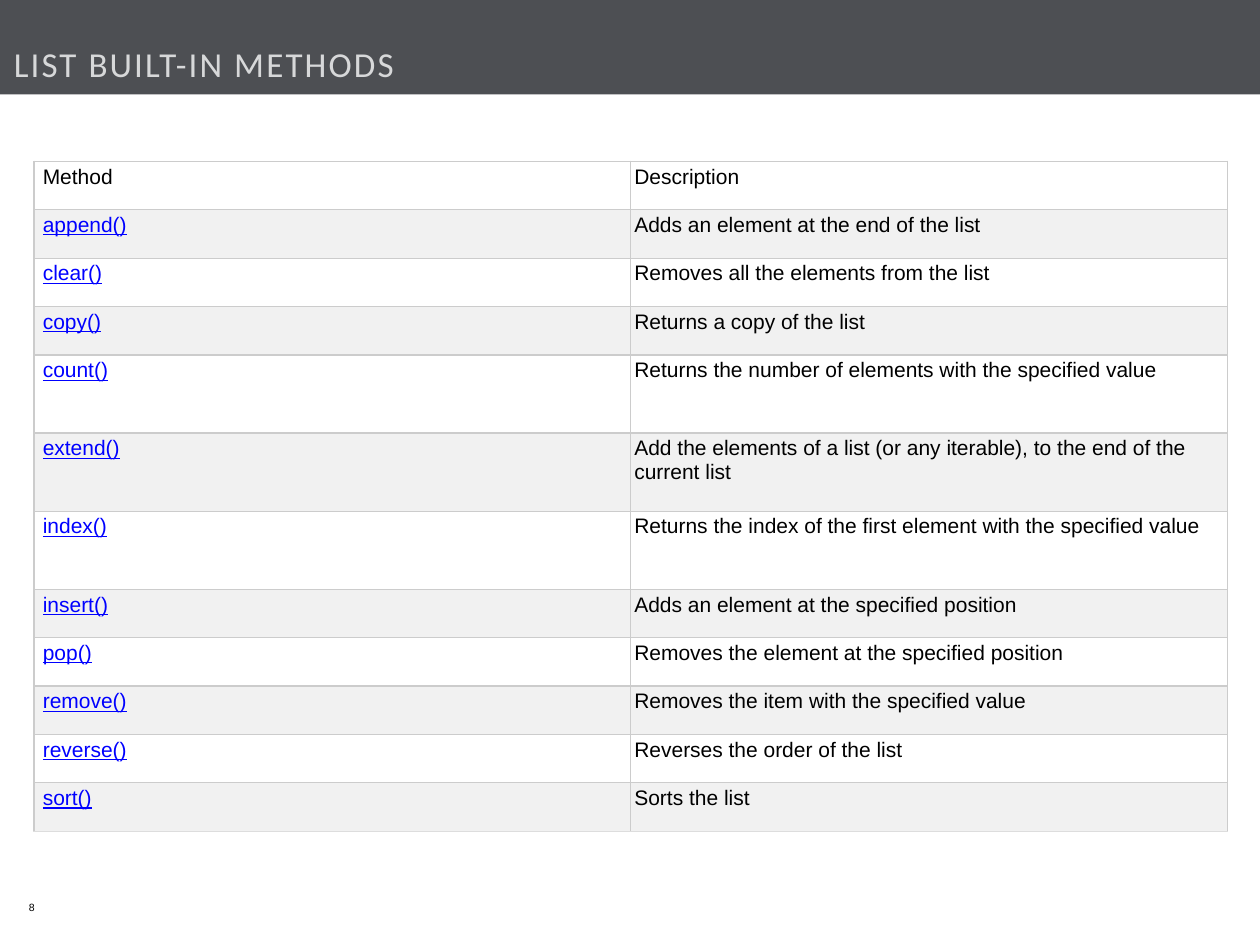
import pptx
import pptx.util
import pptx.dml.color
import pptx.enum.shapes
import pptx.enum.text
import pptx.oxml.ns
from lxml import etree

Inches = pptx.util.Inches
Pt = pptx.util.Pt
qn = pptx.oxml.ns.qn

COLORS = {
    "white": "FFFFFF", "band": "4D4F53", "title": "D7D8D9", "text": "000000",
    "link": "0000FF", "stripe": "F1F1F1", "line": "CCCCCC", "base": "DDDDDD",
}
METHODS = [
    ("append()", "Adds an element at the end of the list"),
    ("clear()", "Removes all the elements from the list"),
    ("copy()", "Returns a copy of the list"),
    ("count()", "Returns the number of elements with the specified value"),
    ("extend()", "Add the elements of a list (or any iterable), to the end of the current list"),
    ("index()", "Returns the index of the first element with the specified value"),
    ("insert()", "Adds an element at the specified position"),
    ("pop()", "Removes the element at the specified position"),
    ("remove()", "Removes the item with the specified value"),
    ("reverse()", "Reverses the order of the list"),
    ("sort()", "Sorts the list"),
]
TALL = {"count()", "extend()", "index()"}


def rgb(name):
    return pptx.dml.color.RGBColor.from_string(COLORS[name])


def pad(item, left, top, right, base):
    item.margin_left, item.margin_top = Inches(left), Inches(top)
    item.margin_right, item.margin_bottom = Inches(right), Inches(base)


def add_run(frame, text, size, color, font="Arial"):
    par = frame.paragraphs[0]
    par.alignment = pptx.enum.text.PP_ALIGN.LEFT
    run = par.add_run()
    run.text = text
    run.font.size, run.font.name = Pt(size), font
    run.font.color.rgb = rgb(color)
    return run


def add_band(slide, box, color):
    band = slide.shapes.add_shape(
        pptx.enum.shapes.MSO_SHAPE.RECTANGLE, *map(Inches, box))
    band.shadow.inherit = False
    band.fill.solid()
    band.fill.fore_color.rgb = rgb(color)
    band.line.fill.background()
    # Send behind the title
    slide.shapes._spTree.insert(2, band._element)


def add_title(slide, box, text):
    title = slide.shapes.title
    title.left, title.top, title.width, title.height = map(Inches, box)
    frame = title.text_frame
    pad(frame, 0, 0, 0, 0)
    frame.word_wrap = True
    frame.auto_size = pptx.enum.text.MSO_AUTO_SIZE.NONE
    frame.vertical_anchor = pptx.enum.text.MSO_ANCHOR.BOTTOM
    run = add_run(frame, text, 20, "title", "Calibri")
    run.font._element.set("spc", "120")


def add_number(slide, box, text):
    frame = slide.shapes.add_textbox(*map(Inches, box)).text_frame
    pad(frame, 0.12, 0.06, 0.12, 0.06)
    frame.word_wrap = True
    frame.vertical_anchor = pptx.enum.text.MSO_ANCHOR.MIDDLE
    add_run(frame, text, 6, "text")


def add_border(cell, base):
    props = cell._tc.get_or_add_tcPr()
    for side in "LRTB":
        line = etree.SubElement(props, qn(f"a:ln{side}"), w=str(Pt(0.75)))
        fill = etree.SubElement(line, qn("a:solidFill"))
        color = COLORS[base if side == "B" else "line"]
        etree.SubElement(fill, qn("a:srgbClr"), val=color)


def add_methods(slide, box, head, methods):
    left, top, width, height = box
    rows = [head] + methods
    table = slide.shapes.add_table(len(rows), 2, *map(Inches, box)).table
    for col in table.columns:
        col.width = Inches(width / 2)
    # Short rows share what the tall ones leave
    tall = 0.62
    short = (height - tall * len(TALL)) / (len(rows) - len(TALL))
    for i, row in enumerate(rows):
        table.rows[i].height = Inches(tall if row[0] in TALL else short)
        for j, text in enumerate(row):
            cell = table.cell(i, j)
            pad(cell, 0.03 if j else 0.07, 0.03, 0.03, 0.03)
            add_border(cell, "base" if i == len(rows) - 1 else "line")
            cell.fill.solid()
            cell.fill.fore_color.rgb = rgb("stripe" if i % 2 else "white")
            link = i > 0 and j == 0
            run = add_run(cell.text_frame, text, 12, "link" if link else "text")
            run.font.underline = link


def main():
    deck = pptx.Presentation()
    deck.slide_width, deck.slide_height = Inches(10), Inches(7.5)
    slide = deck.slides.add_slide(deck.slide_layouts[5])
    # Bands at head and foot
    add_band(slide, (0, 0, 10, 0.75), "band")
    add_band(slide, (0, 6.9, 10, 0.6), "white")
    # Title, table and page number
    add_title(slide, (0.11, 0.17, 8.55, 0.5), "LIST BUILT-IN METHODS")
    add_methods(slide, (0.27, 1.28, 9.47, 5.32), ("Method", "Description"), METHODS)
    add_number(slide, (0.11, 7, 0.66, 0.4), "8")
    deck.save("out.pptx")


if __name__ == "__main__":
    main()
